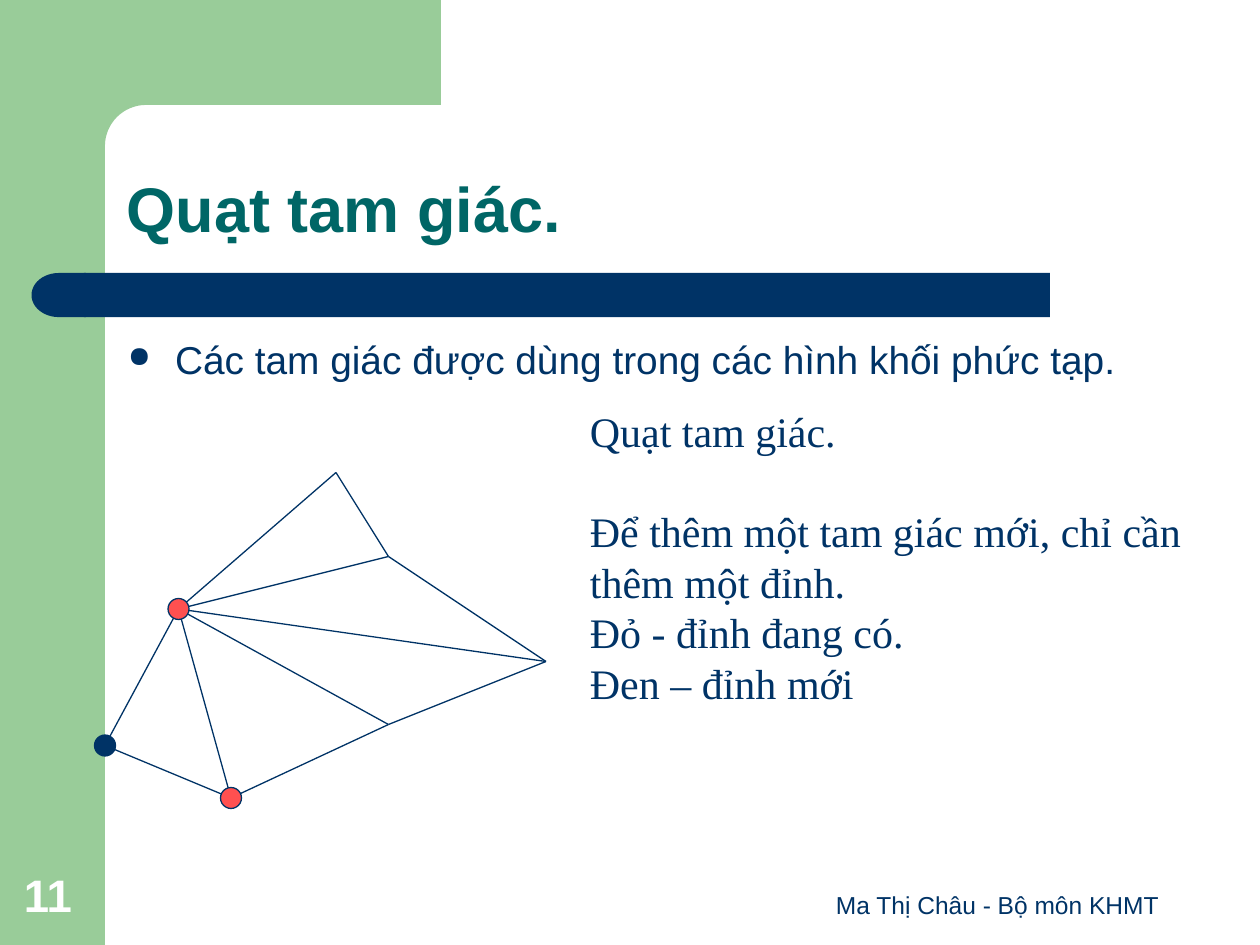
from dataclasses import dataclass
from math import cos, pi, sin

from lxml import etree
from pptx import Presentation
from pptx.dml.color import RGBColor
from pptx.enum import shapes, text
from pptx.oxml.ns import qn
from pptx.util import Pt


@dataclass(frozen=True)
class Theme:
    navy: str = "003366"
    green: str = "99CC99"
    teal: str = "006666"
    red: str = "FF5050"
    white: str = "FFFFFF"
    sans: str = "Arial"
    serif: str = "Times New Roman"
    title: float = 36
    body: float = 22.2
    note: float = 24
    note_line: float = 28.8
    footer: float = 14
    number: float = 26
    hairline: float = 0.75


THEME = Theme()
TITLE = "Quạt tam giác."
BULLET = "Các tam giác được dùng trong các hình khối phức tạp."
NOTES = [
    ("Quạt tam giác.", 0),
    ("Để thêm một tam giác mới, chỉ cần thêm một đỉnh.", THEME.note_line),
    ("Đỏ - đỉnh đang có.", 0),
    ("Đen – đỉnh mới", 0),
]
FOOTER = "Ma Thị Châu - Bộ môn KHMT"
NUMBER = "11"

HUB = (102, 348)
RIM = [(192, 270), (222, 318), (312, 378), (222, 414), (132, 456), (60, 426)]
DOTS = [(HUB, THEME.red), (RIM[-2], THEME.red), (RIM[-1], THEME.navy)]
DOT_SIZE = 12

SIDEBAR = 60
TAB_RIGHT, TAB_BOTTOM, TAB_LEFT = 252, 92, 36
CORNER = 23.5
ARC_STEPS = 16


def points(values):
    return [Pt(value) for value in values]


def color(value):
    return RGBColor.from_string(value)


def paint(shape, fill, line=None):
    shape.shadow.inherit = False
    shape.fill.solid()
    shape.fill.fore_color.rgb = color(fill)
    if line:
        shape.line.color.rgb = color(line)
        shape.line.width = Pt(THEME.hairline)
    else:
        shape.line.fill.background()
    return shape


def add_shape(page, kind, area, fill, line=None):
    return paint(page.shapes.add_shape(kind, *points(area)), fill, line)


def add_line(page, start, end):
    line = page.shapes.add_connector(
        shapes.MSO_CONNECTOR.STRAIGHT, *points(start + end))
    line.line.color.rgb = color(THEME.navy)
    line.line.width = Pt(THEME.hairline)
    etree.SubElement(line._element.spPr, qn("a:effectLst"))


def add_box(page, area, anchor=text.MSO_ANCHOR.TOP):
    frame = page.shapes.add_textbox(*points(area)).text_frame
    frame.word_wrap = True
    frame.vertical_anchor = anchor
    return frame


def write(para, words, size, ink=THEME.navy, face=THEME.sans, bold=False):
    para.add_run().text = words
    para.font.size = Pt(size)
    para.font.name = face
    para.font.bold = bold
    para.font.color.rgb = color(ink)


def add_bullet(para, indent):
    properties = para._p.get_or_add_pPr()
    properties.set("marL", str(Pt(indent)))
    properties.set("indent", str(-Pt(indent)))
    ink = etree.SubElement(properties, qn("a:buClr"))
    etree.SubElement(ink, qn("a:srgbClr"), val=THEME.navy)
    etree.SubElement(properties, qn("a:buSzPct"), val="75000")
    etree.SubElement(properties, qn("a:buChar"), char="●")


def draw_frame(page):
    add_shape(page, shapes.MSO_SHAPE.RECTANGLE, (0, 0, SIDEBAR, 540), THEME.green)
    center = SIDEBAR + CORNER
    angles = [pi / 2 * step / ARC_STEPS for step in range(ARC_STEPS + 1)]
    arc = [(center - CORNER * sin(a), center - CORNER * cos(a)) for a in angles]
    outline = [(TAB_RIGHT, 0), (TAB_RIGHT, SIDEBAR), *arc,
               (SIDEBAR, TAB_BOTTOM), (TAB_LEFT, TAB_BOTTOM)]
    builder = page.shapes.build_freeform(Pt(TAB_LEFT), 0)
    builder.add_line_segments([points(point) for point in outline])
    paint(builder.convert_to_shape(), THEME.green)
    add_shape(page, shapes.MSO_SHAPE.RECTANGLE, (48, 156, 552, 25.2), THEME.navy)
    cap = add_shape(page, shapes.MSO_SHAPE.FLOWCHART_DELAY,
                    (18, 156, 31, 25.2), THEME.navy)
    cap.rotation = 180


def draw_text(page):
    bottom = text.MSO_ANCHOR.BOTTOM
    footer = add_box(page, (456, 492, 228, 37.2), bottom).paragraphs[0]
    footer.alignment = text.PP_ALIGN.CENTER
    write(footer, FOOTER, THEME.footer)
    number = add_box(page, (6.5, 492, 46, 38), bottom).paragraphs[0]
    write(number, NUMBER, THEME.number, THEME.white, bold=True)
    title = add_box(page, (65.5, 65.5, 612.5, 78.5), bottom).paragraphs[0]
    title.line_spacing = 0.9
    write(title, TITLE, THEME.title, THEME.teal, bold=True)
    body = add_box(page, (66, 188, 606, 60)).paragraphs[0]
    add_bullet(body, 27)
    write(body, BULLET, THEME.body)
    notes = add_box(page, (330, 228, 355, 180))
    for index, (words, gap) in enumerate(NOTES):
        para = notes.add_paragraph() if index else notes.paragraphs[0]
        para.line_spacing = Pt(THEME.note_line)
        if gap:
            para.space_before = Pt(gap)
        write(para, words, THEME.note, face=THEME.serif)


def draw_fan(page):
    for vertex in RIM:
        add_line(page, HUB, vertex)
    for start, end in zip(RIM, RIM[1:]):
        add_line(page, start, end)
    for (x, y), fill in DOTS:
        area = (x - DOT_SIZE / 2, y - DOT_SIZE / 2, DOT_SIZE, DOT_SIZE)
        add_shape(page, shapes.MSO_SHAPE.OVAL, area, fill, THEME.navy)


def main():
    """Build the triangle fan slide."""
    deck = Presentation()
    deck.slide_width, deck.slide_height = points((720, 540))
    page = deck.slides.add_slide(deck.slide_layouts[6])
    draw_frame(page)
    draw_text(page)
    draw_fan(page)
    deck.save("out.pptx")


if __name__ == "__main__":
    main()
